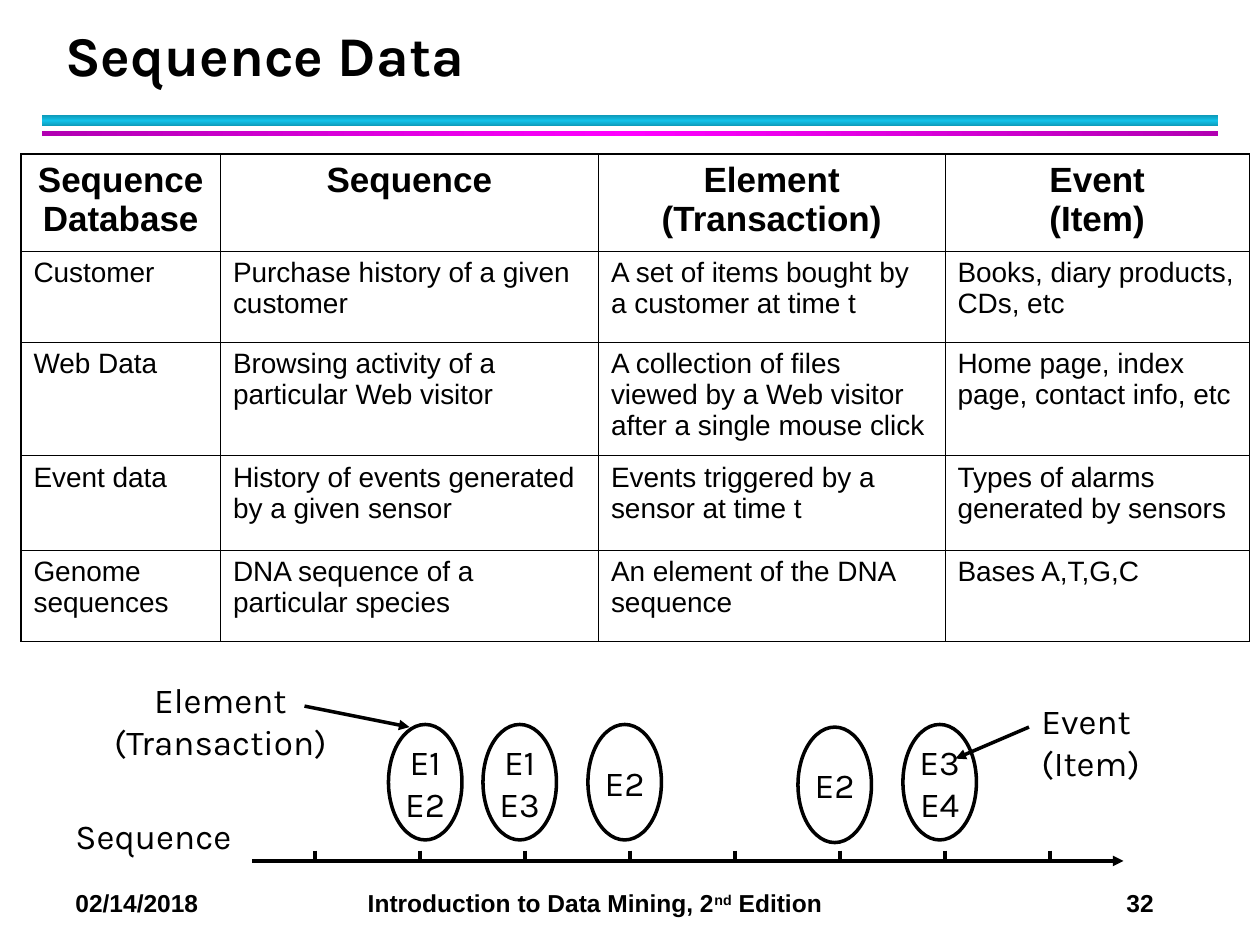
from dataclasses import dataclass

from lxml import etree
from pptx import Presentation
from pptx import util as u
from pptx.dml.color import RGBColor
from pptx.enum import shapes, text
from pptx.oxml import ns


@dataclass(frozen=True)
class Theme:
    ink: str = "000000"
    cyan: tuple = ("0E9BBA", "12C2E9", "0E9BBA")
    magenta: tuple = ("B200B2", "FF00FF", "B200B2")
    display: str = "Karla"
    plain: str = "Arial"
    title: int = 32
    heading: int = 20
    cell: int = 16
    footer: int = 14
    stroke: float = 2
    outer_border: float = 1.08
    inner_border: float = 0.45


THEME = Theme()
LEFT, CENTER = text.PP_ALIGN.LEFT, text.PP_ALIGN.CENTER
TOP, MIDDLE, BOTTOM = text.MSO_ANCHOR.TOP, text.MSO_ANCHOR.MIDDLE, text.MSO_ANCHOR.BOTTOM

COLUMNS = (19, 36, 33, 29)
ROWS = (9.25, 8.67, 10.83, 9, 8.67)
TABLE = (
    ("Sequence Database", "Sequence", "Element (Transaction)", "Event\n(Item)"),
    ("Customer", "Purchase history of a given customer",
     "A set of items bought by a customer at time t", "Books, diary products, CDs, etc"),
    ("Web Data", "Browsing activity of a particular Web visitor",
     "A collection of files viewed by a Web visitor after a single mouse click",
     "Home page, index page, contact info, etc"),
    ("Event data", "History of events generated by a given sensor",
     "Events triggered by a sensor at time t", "Types of alarms generated by sensors"),
    ("Genome sequences", "DNA sequence of a particular species",
     "An element of the DNA sequence", "Bases A,T,G,C"),
)
ELEMENTS = ((37, 69, "E1\nE2"), (46, 69, "E1\nE3"), (56, 69, "E2"),
            (86, 69, "E3\nE4"), (76, 69.25, "E2"))
LABELS = (((6, 77, 20, 5.25), "Sequence", LEFT),
          ((9, 64, 24, 9.25), "Element (Transaction)", CENTER),
          ((98, 66, 13, 9.25), "Event\n(Item)", LEFT))
ARROWS = ((24, 82, 107, 82), (29, 67.25, 39, 69.25), (98, 69.25, 91, 72.25))
TICKS = [(30 + 10 * step, 81, 30 + 10 * step, 82) for step in range(8)]


def grid(*units):
    """Turn units of the 120 by 90 slide grid into lengths."""
    return [u.Inches(unit / 12) for unit in units]


def style_runs(paragraph, font_name, size, bold=False):
    for run in paragraph.runs:
        run.font.name = font_name
        run.font.size = u.Pt(size)
        run.font.bold = bold
        run.font.color.rgb = RGBColor.from_string(THEME.ink)


def write(frame, words, font_name, size, bold=False, align=LEFT, anchor=TOP, wrap=True):
    frame.word_wrap = wrap
    frame.vertical_anchor = anchor
    paragraph = frame.paragraphs[0]
    paragraph.text = words
    paragraph.alignment = align
    style_runs(paragraph, font_name, size, bold)
    return paragraph


def add_bar(slide, box, colors, angle):
    bar = slide.shapes.add_shape(shapes.MSO_SHAPE.RECTANGLE, *grid(*box))
    bar.shadow.inherit = False
    bar.line.fill.background()
    bar.fill.gradient()
    bar.fill.gradient_angle = angle
    stops = bar._element.spPr.find(ns.qn("a:gradFill")).find(ns.qn("a:gsLst"))
    for stop in list(stops):
        stops.remove(stop)
    for index, color in enumerate(colors):
        stop = etree.SubElement(stops, ns.qn("a:gs"), pos=str(50000 * index))
        etree.SubElement(stop, ns.qn("a:srgbClr"), val=color)


def add_title(slide, words):
    title = slide.shapes.title
    title.left, title.top, title.width, title.height = grid(5, 2, 108.75, 7)
    title.text_frame.auto_size = text.MSO_AUTO_SIZE.NONE
    paragraph = write(title.text_frame, words, THEME.display, THEME.title, True, anchor=BOTTOM)
    paragraph.line_spacing = u.Pt(36)


def add_footer(slide):
    box = slide.shapes.add_textbox(*grid(6, 84, 112, 4))
    box.text_frame.word_wrap = True
    paragraph = box.text_frame.paragraphs[0]
    tabs = etree.SubElement(paragraph._p.get_or_add_pPr(), ns.qn("a:tabLst"))
    for position in grid(27.84, 100.1):
        etree.SubElement(tabs, ns.qn("a:tab"), pos=str(position), algn="l")
    for words in ("02/14/2018\tIntroduction to Data Mining, 2", "nd", " Edition\t32"):
        paragraph.add_run().text = words
    style_runs(paragraph, THEME.plain, THEME.footer, True)
    paragraph.runs[1].font._element.set("baseline", "30000")


def set_borders(cell, widths):
    """Draw the left, right, top and bottom borders with the given widths."""
    properties = cell._tc.get_or_add_tcPr()
    for index, (side, width) in enumerate(zip("LRTB", widths)):
        line = etree.Element(ns.qn(f"a:ln{side}"), w=str(u.Pt(width)))
        fill = etree.SubElement(line, ns.qn("a:solidFill"))
        etree.SubElement(fill, ns.qn("a:srgbClr"), val=THEME.ink)
        properties.insert(index, line)


def add_table(slide):
    frame = slide.shapes.add_table(len(ROWS), len(COLUMNS),
                                   *grid(2, 14.67, sum(COLUMNS), sum(ROWS)))
    table = frame.table
    table.first_row = table.horz_banding = False
    for column, width in zip(table.columns, grid(*COLUMNS)):
        column.width = width
    for row, height in zip(table.rows, grid(*ROWS)):
        row.height = height
    for r, row in enumerate(TABLE):
        for c, words in enumerate(row):
            cell = table.cell(r, c)
            cell.fill.background()
            header = r == 0
            write(cell.text_frame, words, THEME.plain,
                  THEME.heading if header else THEME.cell, header,
                  CENTER if header else LEFT)
            on_edge = (c == 0, c == len(COLUMNS) - 1, header, r == len(ROWS) - 1)
            set_borders(cell, [THEME.outer_border if edge else THEME.inner_border
                               for edge in on_edge])


def add_line(slide, ends, arrow=False):
    line = slide.shapes.add_connector(shapes.MSO_CONNECTOR.STRAIGHT, *grid(*ends))
    line.line.color.rgb = RGBColor.from_string(THEME.ink)
    line.line.width = u.Pt(THEME.stroke)
    properties = line._element.spPr
    if arrow:
        etree.SubElement(properties.find(ns.qn("a:ln")), ns.qn("a:tailEnd"), type="triangle")
    etree.SubElement(properties, ns.qn("a:effectLst"))


def add_element(slide, left, top, words):
    """Draw one sequence element: an ellipse that lists its events."""
    ellipse = slide.shapes.add_shape(shapes.MSO_SHAPE.OVAL, *grid(left, top, 7, 11))
    ellipse.shadow.inherit = False
    ellipse.fill.background()
    ellipse.line.color.rgb = RGBColor.from_string(THEME.ink)
    ellipse.line.width = u.Pt(THEME.stroke)
    write(ellipse.text_frame, words, THEME.display, THEME.heading,
          align=CENTER, anchor=MIDDLE, wrap=False)


def add_label(slide, box, words, align):
    label = slide.shapes.add_textbox(*grid(*box))
    write(label.text_frame, words, THEME.display, THEME.heading, align=align)


def main():
    presentation = Presentation()
    presentation.slide_width, presentation.slide_height = grid(120, 90)
    slide = presentation.slides.add_slide(presentation.slide_layouts[5])
    add_bar(slide, (4, 11, 112, 1), THEME.cyan, 90)
    add_bar(slide, (4, 12.5, 112, 0.5), THEME.magenta, 0)
    add_footer(slide)
    add_title(slide, "Sequence Data")
    add_table(slide)
    for tick in TICKS:
        add_line(slide, tick)
    for element in ELEMENTS:
        add_element(slide, *element)
    for arrow in ARROWS:
        add_line(slide, arrow, arrow=True)
    for label in LABELS:
        add_label(slide, *label)
    presentation.save("out.pptx")


if __name__ == "__main__":
    main()
